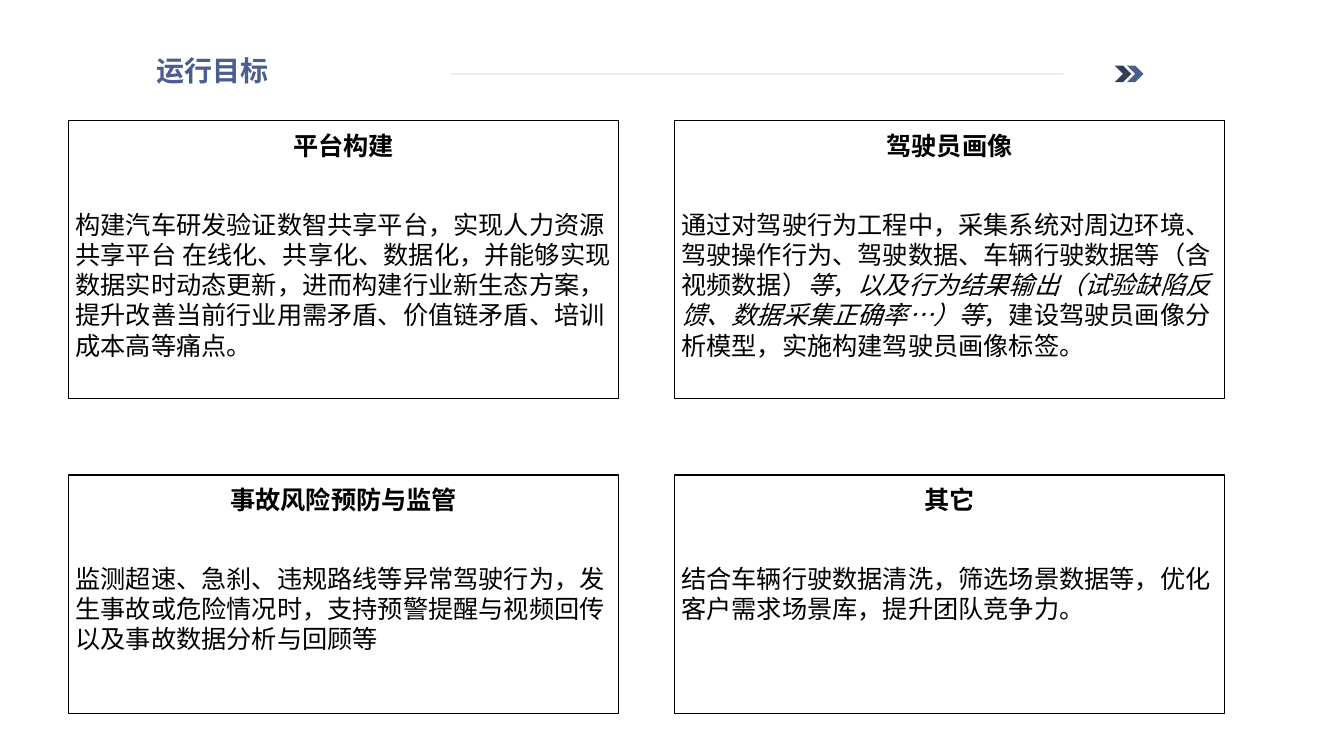
from lxml.etree import SubElement
from pptx import Presentation
from pptx.dml.color import RGBColor
from pptx.enum.shapes import MSO_CONNECTOR, MSO_SHAPE
from pptx.enum.text import MSO_ANCHOR, PP_ALIGN
from pptx.oxml.ns import qn
from pptx.util import Pt

FACE = "Noto Sans CJK SC"
COLS = (49, 481.7)
ROWS = ((86.4, 198.4), (339.3, 170.2))  # top, height
WIDTH = 393

# Each card: heading, then body runs as (text, italic)
CARDS = (
    ("平台构建", [
        ("构建汽车研发验证数智共享平台，实现人力资源共享平台 在线化、共享化、数据化，"
         "并能够实现数据实时动态更新，进而构建行业新生态方案，"
         "提升改善当前行业用需矛盾、价值链矛盾、培训成本高等痛点。", False)]),
    ("驾驶员画像", [
        ("通过对驾驶行为工程中，采集系统对周边环境、驾驶操作行为、驾驶数据、"
         "车辆行驶数据等（含视频数据）", False),
        ("等", True),
        ("，", False),
        ("以及行为结果输出（试验缺陷反馈、数据采集正确率…）等", True),
        ("，建设驾驶员画像分析模型，实施构建驾驶员画像标签。", False)]),
    ("事故风险预防与监管", [
        ("监测超速、急刹、违规路线等异常驾驶行为，发生事故或危险情况时，"
         "支持预警提醒与视频回传以及事故数据分析与回顾等", False)]),
    ("其它", [
        ("结合车辆行驶数据清洗，筛选场景数据等，优化客户需求场景库，"
         "提升团队竞争力。", False)]),
)


def paint(target, color):
    """Give a fill or a line a solid colour."""
    target.solid()
    target.fore_color.rgb = RGBColor.from_string(color)


def style(para, size, color, bold):
    font = para.font
    font.size, font.bold, font.name = Pt(size), bold, FACE
    paint(font.fill, color)
    SubElement(font._rPr, qn("a:ea"), typeface=FACE)


def add_title(slide, text):
    title = slide.shapes.title
    title.left, title.top = Pt(104.4), Pt(34.6)
    title.width, title.height = Pt(658.8), Pt(31.7)
    frame = title.text_frame
    frame.text = text
    frame.vertical_anchor = MSO_ANCHOR.MIDDLE
    para = frame.paragraphs[0]
    para.alignment = PP_ALIGN.LEFT
    style(para, 20, "4B5E8F", True)


def add_rule(slide):
    rule = slide.shapes.add_connector(
        MSO_CONNECTOR.STRAIGHT, Pt(321.8), Pt(52.8), Pt(759.6), Pt(52.8))
    rule.line.width = Pt(1)
    paint(rule.line.fill, "DFE4EA")
    tint = rule.line._ln.find(".//" + qn("a:srgbClr"))
    SubElement(tint, qn("a:alpha"), val="70000")
    SubElement(rule._element.spPr, qn("a:effectLst"))


def add_arrow(slide, left, color):
    arrow = slide.shapes.add_shape(
        MSO_SHAPE.CHEVRON, Pt(left), Pt(46.9), Pt(11.8), Pt(11.8))
    arrow.shadow.inherit = False
    paint(arrow.fill, color)
    arrow.line.fill.background()


def add_card(slide, left, top, height, head, runs):
    card = slide.shapes.add_shape(
        MSO_SHAPE.RECTANGLE, Pt(left), Pt(top), Pt(WIDTH), Pt(height))
    card.shadow.inherit = False
    card.fill.background()
    card.line.width = Pt(0.75)
    paint(card.line.fill, "000000")

    frame = card.text_frame
    frame.word_wrap = True
    frame.vertical_anchor = MSO_ANCHOR.TOP
    frame.margin_left = frame.margin_right = frame.margin_bottom = Pt(5)
    frame.margin_top = Pt(7)

    # Heading, set well clear of the body
    first = frame.paragraphs[0]
    first.text = head
    first.alignment = PP_ALIGN.CENTER
    first.space_after = Pt(34.2)
    style(first, 18, "000000", True)

    body = frame.add_paragraph()
    body.alignment = PP_ALIGN.LEFT
    style(body, 18, "000000", False)
    for text, slant in runs:
        run = body.add_run()
        run.text = text
        if slant:
            run.font.italic = True
    for para in frame.paragraphs:
        para.line_spacing = Pt(21.6)


def main():
    deck = Presentation()
    deck.slide_width, deck.slide_height = Pt(960), Pt(540)
    slide = deck.slides.add_slide(deck.slide_layouts[5])

    # Header
    add_arrow(slide, 796.3, "313D5D")
    add_arrow(slide, 805, "4B5E8F")
    add_rule(slide)
    add_title(slide, "运行目标")

    # Two by two grid of cards
    for index, (head, runs) in enumerate(CARDS):
        row, col = divmod(index, len(COLS))
        top, height = ROWS[row]
        add_card(slide, COLS[col], top, height, head, runs)

    deck.save("out.pptx")


if __name__ == "__main__":
    main()
